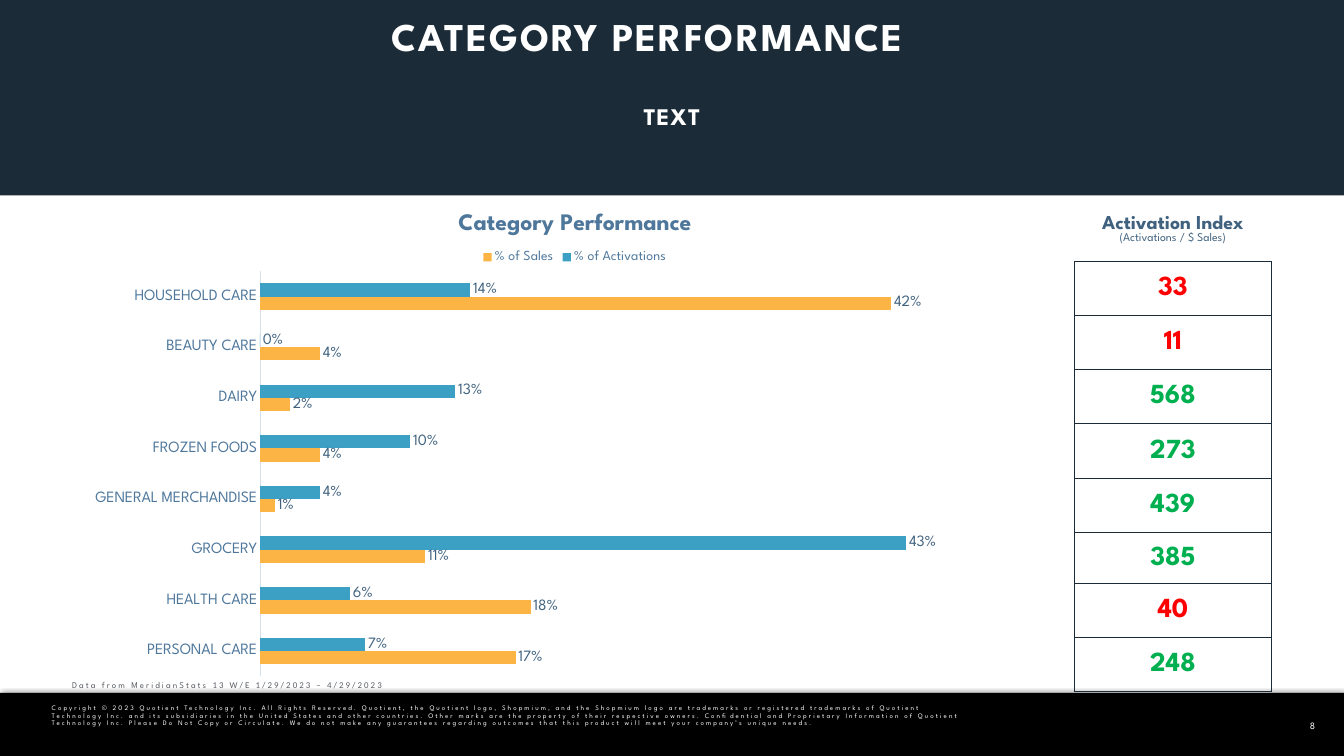
from dataclasses import dataclass

import lxml.etree
import pptx
import pptx.chart.data
import pptx.dml.color
import pptx.enum.chart
import pptx.enum.shapes
import pptx.enum.text
import pptx.oxml.ns
import pptx.util

PX = 9144  # EMU in one px: 100 px to the inch
FACE = "League Spartan"

RGB = pptx.dml.color.RGBColor
WHITE = RGB(0xFF, 0xFF, 0xFF)
BLACK = RGB(0x00, 0x00, 0x00)
NAVY = RGB(0x1C, 0x2B, 0x38)
SLATE = RGB(0x40, 0x62, 0x7F)
STEEL = RGB(0x4E, 0x77, 0x9B)
PALE = RGB(0xD4, 0xE0, 0xEA)
GREY = RGB(0x59, 0x5D, 0x63)
TEAL = RGB(0x3C, 0xA0, 0xC5)
AMBER = RGB(0xFC, 0xB5, 0x44)
RED = RGB(0xFF, 0x00, 0x00)
GREEN = RGB(0x00, 0xB0, 0x50)

ANCHOR = pptx.enum.text.MSO_ANCHOR
ALIGN = pptx.enum.text.PP_ALIGN


@dataclass(frozen=True)
class Box:
    left: int
    top: int
    width: int
    height: int

    def emu(self) -> tuple[int, ...]:
        return tuple(n * PX for n in (self.left, self.top, self.width, self.height))


@dataclass(frozen=True)
class Series:
    name: str
    shares: tuple[float, ...]
    color: RGB


GROUPS = ("HOUSEHOLD CARE", "BEAUTY CARE", "DAIRY", "FROZEN FOODS",
          "GENERAL MERCHANDISE", "GROCERY", "HEALTH CARE", "PERSONAL CARE")
SERIES = (
    Series("% of Activations", (0.14, 0, 0.13, 0.1, 0.04, 0.43, 0.06, 0.07), TEAL),
    Series("% of Sales", (0.42, 0.04, 0.02, 0.04, 0.01, 0.11, 0.18, 0.17), AMBER),
)
INDEX = (33, 11, 568, 273, 439, 385, 40, 248)
ROWS = (89, 76, 77, 76, 77, 77, 71, 77, 76)
LEGAL = (
    "Copyright © 2023 Quotient Technology Inc. All Rights Reserved. Quotient, the Quotient "
    "logo, Shopmium, and the Shopmium logo are trademarks or registered trademarks of Quotient "
    "Technology Inc. and its subsidiaries in the United States and other countries. Other marks "
    "are the property of their respective owners. Confidential and Proprietary Information of "
    "Quotient Technology Inc. Please Do Not Copy or Circulate. We do not make any guarantees "
    "regarding outcomes that this product will meet your company’s unique needs."
)


def add_node(parent, tag: str, **attrs):
    node = lxml.etree.SubElement(parent, pptx.oxml.ns.qn(tag))
    for key, value in attrs.items():
        node.set(key, str(value))
    return node


def set_font(font, size: float, color: RGB, bold: bool = False, face: str = FACE) -> None:
    font.size = pptx.util.Pt(size)
    font.color.rgb = color
    font.bold = bold
    font.name = face


def write(para, words: str, *, size: float, color: RGB, bold: bool = False, face: str = FACE,
          track: float = 0, lead: float = 1.0, align=ALIGN.LEFT, kern: bool = True) -> None:
    """Add a run to para; track is letter spacing in points, lead is line spacing."""
    para.alignment = align
    para.line_spacing = lead
    run = para.add_run()
    run.text = words
    set_font(run.font, size, color, bold, face)
    if track:
        run.font._element.set("spc", str(round(track * 100)))
    if not kern:
        run.font._element.set("kern", "0")


def set_inset(frame, left: int, top: int, right: int, low: int) -> None:
    frame.margin_left, frame.margin_top = left * PX, top * PX
    frame.margin_right, frame.margin_bottom = right * PX, low * PX


def add_text(slide, box: Box, inset: tuple[int, ...] = (10, 5, 10, 5), anchor=ANCHOR.TOP):
    """Add an empty text box and return its first paragraph."""
    frame = slide.shapes.add_textbox(*box.emu()).text_frame
    frame.word_wrap = True
    frame.vertical_anchor = anchor
    set_inset(frame, *inset)
    return frame.paragraphs[0]


def add_band(slide, box: Box, color: RGB):
    band = slide.shapes.add_shape(pptx.enum.shapes.MSO_SHAPE.RECTANGLE, *box.emu())
    band.shadow.inherit = False
    band.fill.solid()
    band.fill.fore_color.rgb = color
    band.line.fill.background()
    return band


def add_shade(band) -> None:
    """Give the band a soft half-clear shadow."""
    effects = band._element.spPr.find(pptx.oxml.ns.qn("a:effectLst"))
    shade = add_node(effects, "a:outerShdw", blurRad=50800, dist=12700, dir=0)
    add_node(add_node(shade, "a:srgbClr", val=BLACK), "a:alpha", val=50000)


def rule_cell(cell, sides: str) -> None:
    """Draw navy borders on the sides named by L, R, T and B."""
    props = cell._tc.get_or_add_tcPr()
    for side in sides:
        line = add_node(props, f"a:ln{side}", w=12700)
        add_node(add_node(line, "a:solidFill"), "a:srgbClr", val=NAVY)
    cell.fill.background()


def add_index(slide, box: Box) -> None:
    table = slide.shapes.add_table(len(ROWS), 1, *box.emu()).table
    table.first_row = table.horz_banding = False
    for row, height in zip(table.rows, ROWS):
        row.height = height * PX

    head = table.cell(0, 0)
    rule_cell(head, "B")
    head.vertical_anchor = ANCHOR.MIDDLE
    set_inset(head, 14, 7, 14, 7)
    style = dict(color=SLATE, lead=0.9, align=ALIGN.CENTER, kern=False)
    write(head.text_frame.paragraphs[0], "Activation Index", size=20, bold=True, **style)
    write(head.text_frame.add_paragraph(), "(Activations / $ Sales)", size=12, **style)

    for row, score in enumerate(INDEX, 1):
        cell = table.cell(row, 0)
        rule_cell(cell, "LRTB")
        cell.vertical_anchor = ANCHOR.MIDDLE
        set_inset(cell, 1, 1, 1, 0)
        write(cell.text_frame.paragraphs[0], str(score), size=28, bold=True, lead=0.9,
              color=GREEN if score >= 100 else RED, align=ALIGN.CENTER)


def place_plot(chart, box: Box, plot: Box) -> None:
    """Fix the inner plot area, measured from the corner of the chart's box."""
    area = chart._chartSpace.chart.plotArea
    for old in area.findall(pptx.oxml.ns.qn("c:layout")):
        area.remove(old)
    layout = add_node(area, "c:layout")
    area.insert(0, layout)
    manual = add_node(layout, "c:manualLayout")
    add_node(manual, "c:layoutTarget", val="inner")
    for mode in ("xMode", "yMode"):
        add_node(manual, f"c:{mode}", val="edge")
    add_node(manual, "c:x", val=plot.left / box.width)
    add_node(manual, "c:y", val=plot.top / box.height)
    add_node(manual, "c:w", val=plot.width / box.width)
    add_node(manual, "c:h", val=plot.height / box.height)


def add_bars(slide, box: Box) -> None:
    kinds = pptx.enum.chart
    data = pptx.chart.data.CategoryChartData(number_format="0%")
    data.categories = GROUPS
    for item in SERIES:
        data.add_series(item.name, item.shares)
    chart = slide.shapes.add_chart(kinds.XL_CHART_TYPE.BAR_CLUSTERED, *box.emu(), data).chart
    set_font(chart.font, 10, NAVY)
    chart.has_title = True
    write(chart.chart_title.text_frame.paragraphs[0], "Category Performance",
          size=24, color=STEEL, bold=True, align=ALIGN.CENTER)
    chart.chart_title.include_in_layout = False
    chart.has_legend = True
    chart.legend.position = kinds.XL_LEGEND_POSITION.TOP
    chart.legend.include_in_layout = False
    set_font(chart.legend.font, 14, STEEL)

    groups, shares = chart.category_axis, chart.value_axis
    groups.reverse_order = True
    groups.major_tick_mark = kinds.XL_TICK_MARK.NONE
    groups.format.line.color.rgb = PALE
    groups.format.line.width = pptx.util.Pt(0.75)
    set_font(groups.tick_labels.font, 16, STEEL)
    shares.minimum_scale, shares.maximum_scale = 0, 0.5
    shares.has_major_gridlines = False
    shares.visible = False

    plot = chart.plots[0]
    plot.gap_width, plot.overlap = 182, 0
    plot.vary_by_categories = False
    for bars, item in zip(plot.series, SERIES):
        bars.format.fill.solid()
        bars.format.fill.fore_color.rgb = item.color
        labels = bars.data_labels
        labels.show_value = True
        labels.number_format, labels.number_format_is_linked = "0%", False
        labels.position = kinds.XL_LABEL_POSITION.OUTSIDE_END
        set_font(labels.font, 16, SLATE)
    place_plot(chart, box, Box(261, 109, 1061, 572))


def main() -> None:
    deck = pptx.Presentation()
    deck.slide_width, deck.slide_height = 1897 * PX, 1067 * PX
    slide = deck.slides.add_slide(deck.slide_layouts[6])

    add_shade(add_band(slide, Box(0, 978, 1897, 89), BLACK))
    write(add_text(slide, Box(73, 995, 1297, 40), (0, 0, 0, 0)), LEGAL,
          size=7, color=WHITE, track=2.1, lead=0.9, kern=False)
    write(add_text(slide, Box(1810, 983, 85, 84), anchor=ANCHOR.MIDDLE), "8",
          size=10, color=WHITE, lead=0.9, align=ALIGN.CENTER)

    add_band(slide, Box(0, 0, 1897, 276), NAVY)
    heading = dict(color=WHITE, bold=True, align=ALIGN.CENTER)
    write(add_text(slide, Box(63, 130, 1771, 129), (6, 6, 6, 6)), "TEXT",
          size=24.2, track=1, lead=1.2, **heading)
    write(add_text(slide, Box(389, 5, 1049, 90), (6, 6, 6, 6), ANCHOR.MIDDLE),
          "CATEGORY PERFORMANCE", size=40, track=2.1, **heading)

    add_index(slide, Box(1517, 280, 277, sum(ROWS)))
    add_bars(slide, Box(106, 274, 1411, 681))

    note = add_text(slide, Box(92, 956, 518, 37))
    style = dict(size=9, color=GREY, track=2.1, lead=0.9, kern=False)
    write(note, "Data from MeridianStats ", **style)
    write(note, "13 W/E 1/29/2023 – 4/29/2023", face="Calibri", **style)
    deck.save("out.pptx")


if __name__ == "__main__":
    main()
